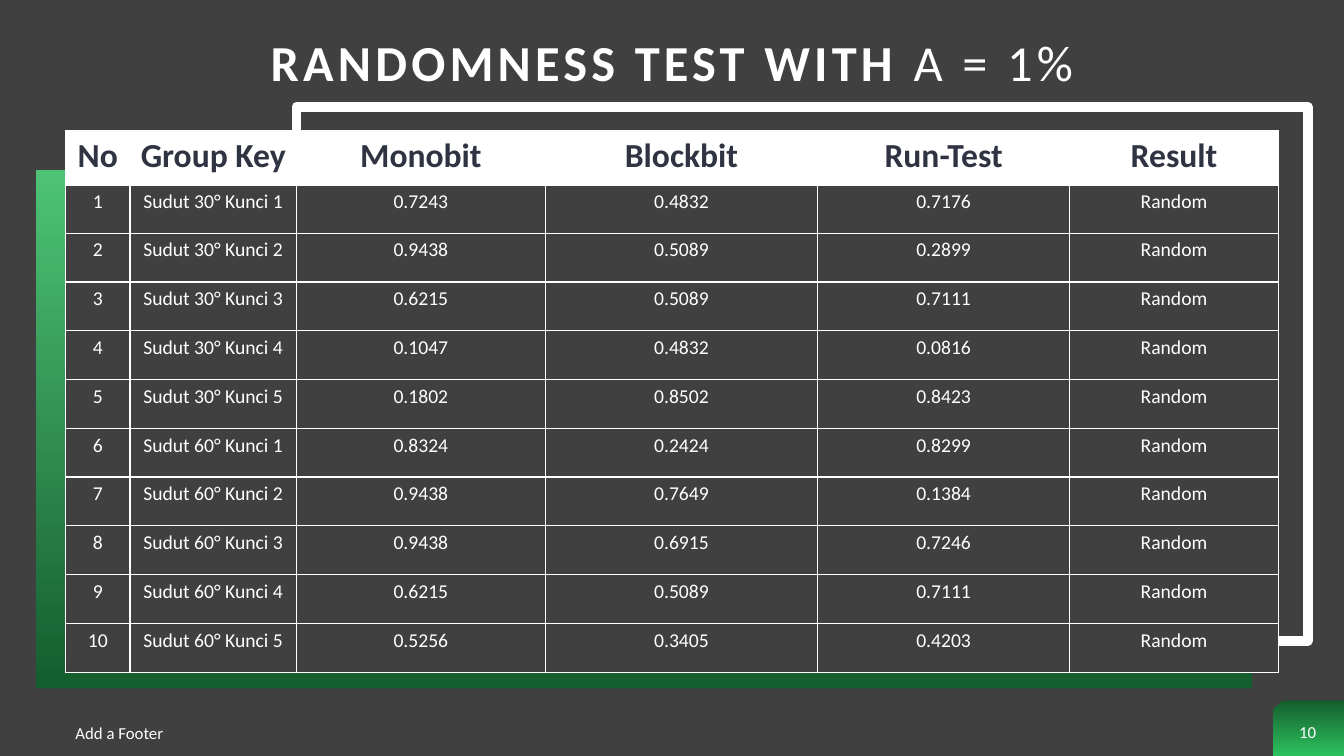
from dataclasses import dataclass

from lxml import etree
from pptx import Presentation
from pptx import util as u
from pptx.dml.color import RGBColor
from pptx.enum import shapes, text
from pptx.oxml.ns import qn


@dataclass(frozen=True)
class Theme:
    font: str = "Calibri"
    back: str = "404040"
    white: str = "FFFFFF"
    ink: str = "2F3342"
    dark_green: str = "026B26"
    light_green: str = "55FB8E"
    corner_green: str = "27FA6D"
    green_alpha: int = 70
    title: int = 36
    head: int = 24
    body: int = 14
    small: int = 12
    frame: float = 7
    rule: float = 0.96
    head_rule: float = 3


T = Theme()
HEADERS = ["No", "Group Key", "Monobit", "Blockbit", "Run-Test", "Result"]
COLUMN_WIDTHS = [0.64, 1.65, 2.47, 2.7, 2.5, 2.07]
P_VALUES = [
    ("0.7243", "0.4832", "0.7176"),
    ("0.9438", "0.5089", "0.2899"),
    ("0.6215", "0.5089", "0.7111"),
    ("0.1047", "0.4832", "0.0816"),
    ("0.1802", "0.8502", "0.8423"),
    ("0.8324", "0.2424", "0.8299"),
    ("0.9438", "0.7649", "0.1384"),
    ("0.9438", "0.6915", "0.7246"),
    ("0.6215", "0.5089", "0.7111"),
    ("0.5256", "0.3405", "0.4203"),
]
KEYS_PER_ANGLE = 5


def rgb(color):
    return RGBColor.from_string(color)


def place(sp, box):
    sp.left, sp.top, sp.width, sp.height = (u.Inches(v) for v in box)


def style_run(r, size, color, bold=False):
    r.font.name = T.font
    r.font.size = u.Pt(size)
    r.font.bold = bold
    r.font.color.rgb = rgb(color)


def add_title(s, box):
    sp = s.shapes.title
    place(sp, box)
    tf = sp.text_frame
    tf.word_wrap = True
    tf.vertical_anchor = text.MSO_ANCHOR.MIDDLE
    p = tf.paragraphs[0]
    p.alignment = text.PP_ALIGN.CENTER
    p.line_spacing = 0.9
    for words, bold in (("RANDOMNESS TEST WITH ", True), ("Α = 1%", False)):
        r = p.add_run()
        r.text = words
        style_run(r, T.title, T.white, bold)
        r.font._element.set("spc", "300")


def add_label(s, box, words, align):
    sp = s.shapes.add_textbox(*(u.Inches(v) for v in box))
    tf = sp.text_frame
    tf.word_wrap = True
    tf.vertical_anchor = text.MSO_ANCHOR.MIDDLE
    tf.text = words
    p = tf.paragraphs[0]
    p.alignment = align
    style_run(p.runs[0], T.small, T.white)


def add_flipped(s, kind, box):
    sp = s.shapes.add_shape(kind, *(u.Inches(v) for v in box))
    sp.shadow.inherit = False
    sp._element.spPr.find(qn("a:xfrm")).set("flipH", "1")
    return sp


def fill_green(sp, light, angle):
    sp.line.fill.background()
    sp.fill.gradient()
    sp.fill.gradient_angle = angle
    for stop, color, position in zip(sp.fill.gradient_stops, (T.dark_green, light), (0, 1)):
        stop.color.rgb = rgb(color)
        stop.position = position
    for clr in sp._element.spPr.iter(qn("a:srgbClr")):
        etree.SubElement(clr, qn("a:alpha")).set("val", str(T.green_alpha * 1000))


def add_backdrop(s, box):
    left, top, width, height = box
    frame = add_flipped(s, shapes.MSO_SHAPE.RECTANGLE,
                        (left + 2.29, top - 0.24, width - 2, height - 0.07))
    frame.fill.background()
    frame.line.color.rgb = rgb(T.white)
    frame.line.width = u.Pt(T.frame)
    panel = add_flipped(s, shapes.MSO_SHAPE.RECTANGLE,
                        (left - 0.29, top + 0.39, width + 0.03, height - 0.23))
    fill_green(panel, T.light_green, 90)


def set_borders(cell, bottom):
    tcPr = cell._tc.get_or_add_tcPr()
    for i, side in enumerate("LRTB"):
        ln = etree.Element(qn("a:ln" + side))
        ln.set("w", str(u.Pt(bottom if side == "B" else T.rule)))
        solid = etree.SubElement(ln, qn("a:solidFill"))
        etree.SubElement(solid, qn("a:srgbClr")).set("val", T.white)
        tcPr.insert(i, ln)


def fill_cell(cell, words, is_head):
    cell.fill.solid()
    cell.fill.fore_color.rgb = rgb(T.white if is_head else T.back)
    set_borders(cell, T.head_rule if is_head else T.rule)
    cell.margin_left = cell.margin_right = u.Inches(0.07)
    cell.margin_top = cell.margin_bottom = u.Inches(0.05)
    cell.text_frame.text = words
    p = cell.text_frame.paragraphs[0]
    p.alignment = text.PP_ALIGN.CENTER
    style_run(p.runs[0], T.head if is_head else T.body,
              T.ink if is_head else T.white, is_head)


def result_rows():
    rows = [HEADERS]
    for i, values in enumerate(P_VALUES):
        group, key = divmod(i, KEYS_PER_ANGLE)
        name = f"Sudut {30 * (group + 1)}° Kunci {key + 1}"
        rows.append([str(i + 1), name, *values, "Random"])
    return rows


def add_results(s, box):
    rows = result_rows()
    head_height = 0.53
    row_height = (box[3] - head_height) / len(P_VALUES)
    table = s.shapes.add_table(len(rows), len(HEADERS), *(u.Inches(v) for v in box)).table
    for column, width in zip(table.columns, COLUMN_WIDTHS):
        column.width = u.Inches(width)
    for i, row in enumerate(rows):
        table.rows[i].height = u.Inches(row_height if i else head_height)
        for j, words in enumerate(row):
            fill_cell(table.cell(i, j), words, i == 0)


def add_corner(s, box):
    sp = add_flipped(s, shapes.MSO_SHAPE.SNIP_1_RECTANGLE, box)
    sp.adjustments[0] = 0.167
    fill_green(sp, T.corner_green, 270)


def add_footer(s, box):
    left, top, width, height = box
    add_label(s, (left, top, width, height), "Add a Footer", text.PP_ALIGN.LEFT)
    add_label(s, (left + 11.97, top - 0.04, 0.7, height + 0.05), "10", text.PP_ALIGN.CENTER)


def main():
    prs = Presentation()
    prs.slide_width, prs.slide_height = u.Inches(13.33), u.Inches(7.5)
    s = prs.slides.add_slide(prs.slide_layouts[5])
    s.background.fill.solid()
    s.background.fill.fore_color.rgb = rgb(T.back)
    table_box = (0.65, 1.3, 12.03, 5.37)
    add_corner(s, (12.63, 6.95, 0.7, 0.55))
    add_title(s, (0.65, 0, 12.03, 1.3))
    add_backdrop(s, table_box)
    add_results(s, table_box)
    add_footer(s, (0.65, 7.07, 4.5, 0.4))
    prs.save("out.pptx")


if __name__ == "__main__":
    main()
